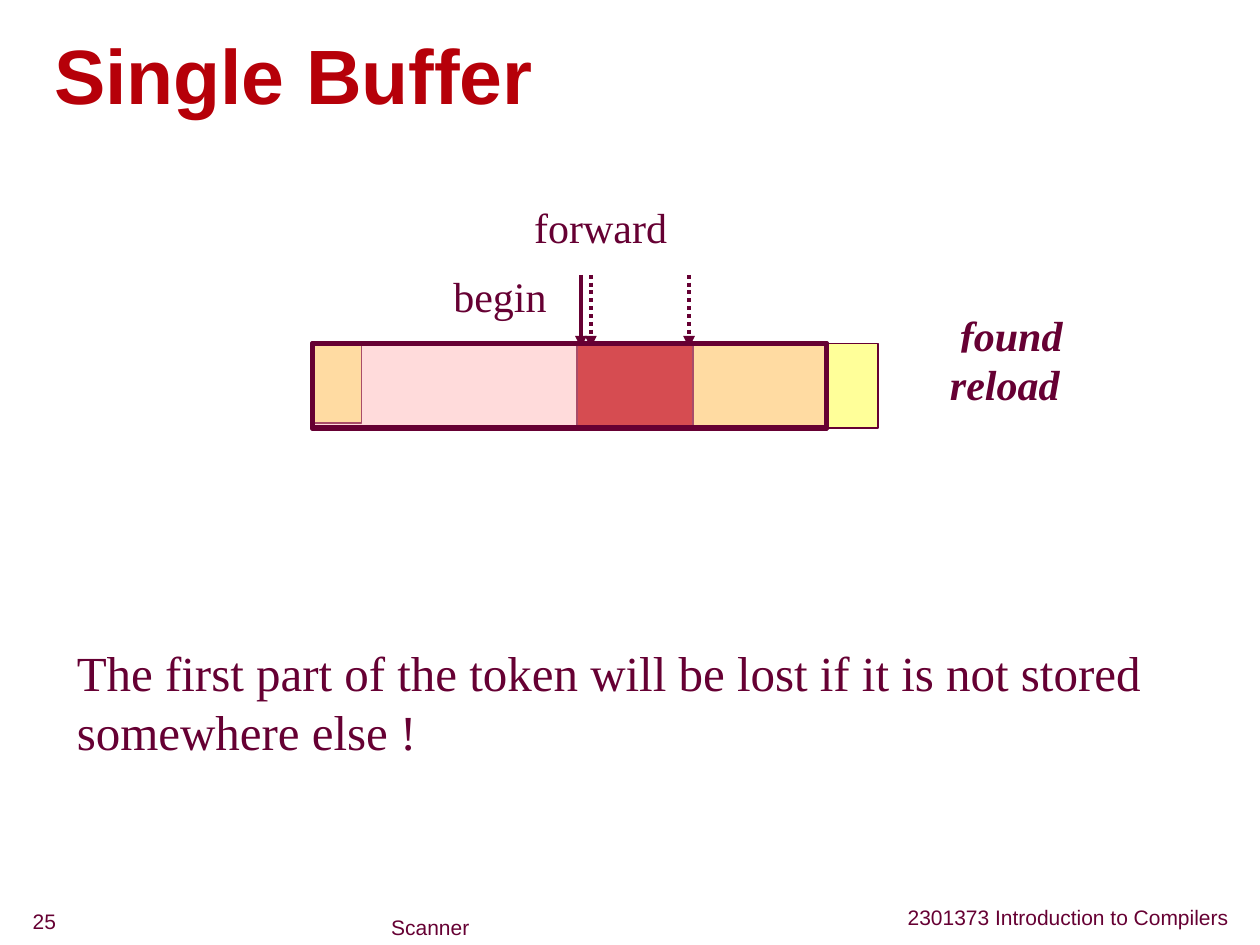
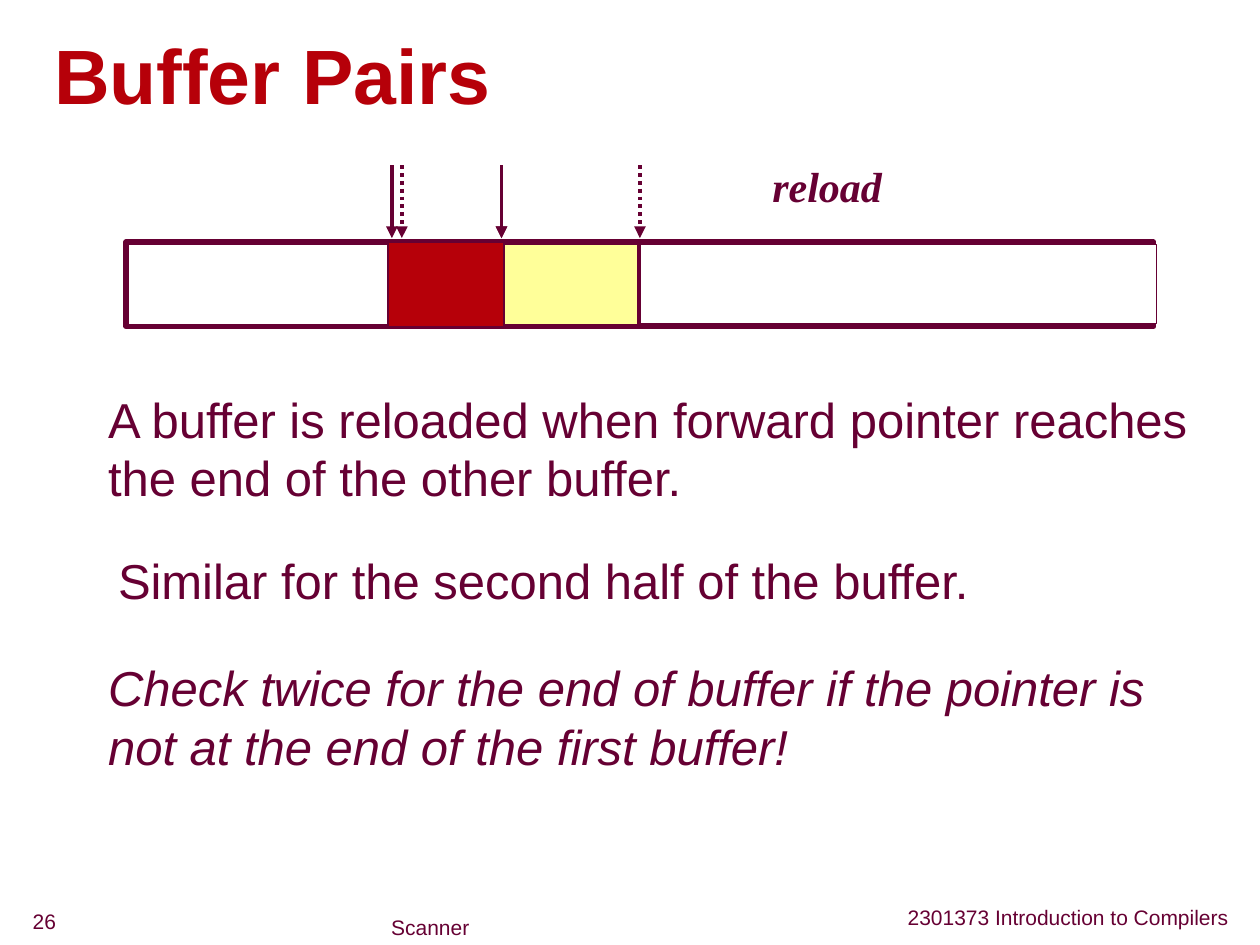
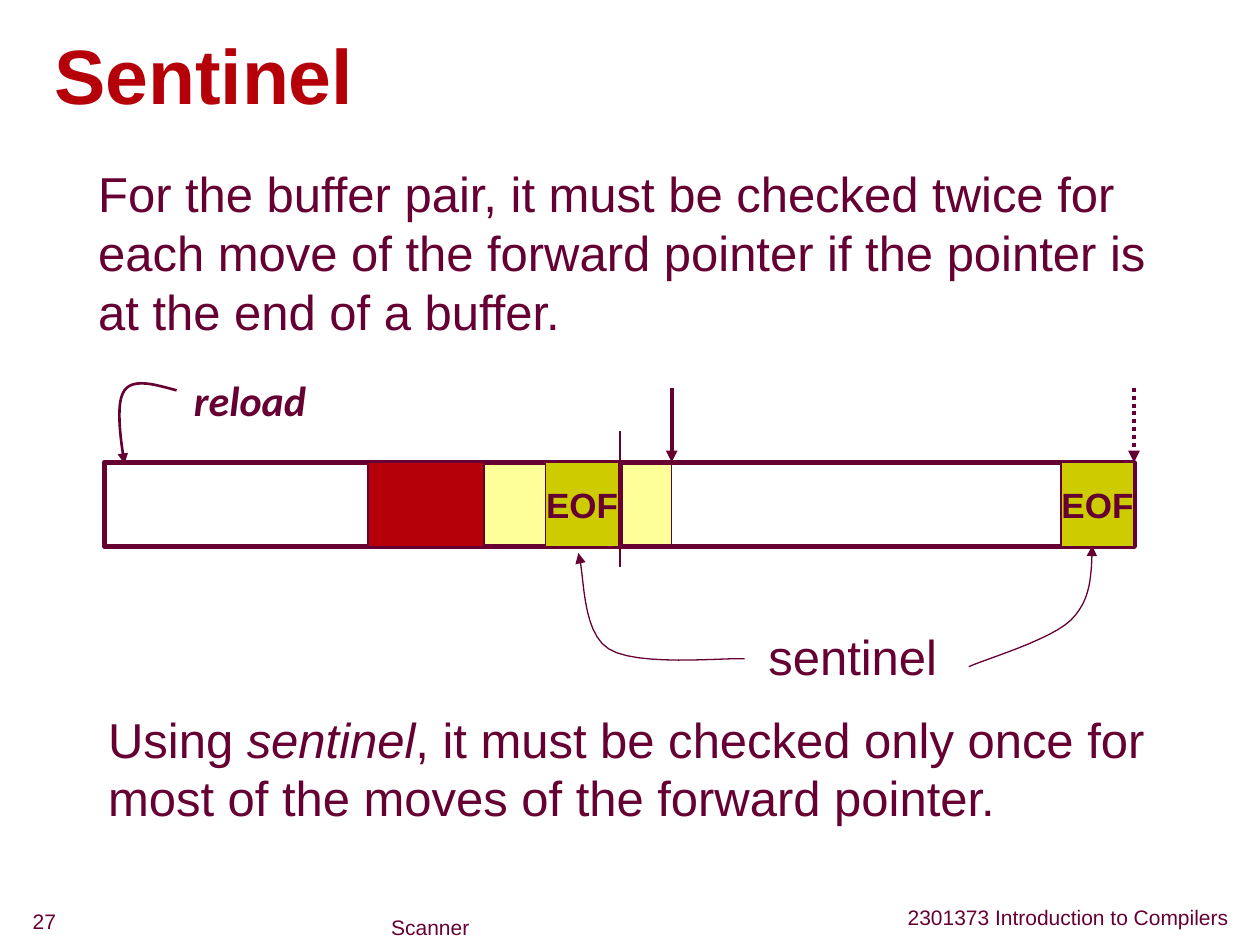
"""Build three slides on input buffering in a scanner."""
import lxml.etree
import pptx
import pptx.dml.color
import pptx.enum.dml
import pptx.enum.shapes
import pptx.enum.text
import pptx.oxml.ns
import pptx.util

Cm = pptx.util.Cm
Pt = pptx.util.Pt
RGB = pptx.dml.color.RGBColor.from_string
ALIGN = pptx.enum.text.PP_ALIGN
ANCHOR = pptx.enum.text.MSO_ANCHOR
qn = pptx.oxml.ns.qn


class Theme:
    ink = "660033"
    red = "B60009"
    yellow = "FFFF99"
    olive = "CCCC00"
    pink = "FFAFAF"
    white = "FFFFFF"
    sans = "Arial"
    serif = "Times New Roman"
    hand = "Calibri"
    title = 44
    body = 28
    label = 24
    mark = 20
    footer = 12
    thin = 0.75
    curve = 1.5
    arrow = 2.25
    frame = 3
    pink_alpha = 44000


def write(sp, text, size, font=Theme.sans, style="", color=Theme.ink,
          align=ALIGN.LEFT, anchor=ANCHOR.TOP, wrap=False):
    tf = sp.text_frame
    tf.text = text
    tf.word_wrap = wrap
    tf.vertical_anchor = anchor
    for p in tf.paragraphs:
        p.alignment = align
        for r in p.runs:
            r.font.size = Pt(size)
            r.font.name = font
            r.font.bold = "b" in style
            r.font.italic = "i" in style
            r.font.color.rgb = RGB(color)
    return tf


def draw_outline(sp, width, head=False, dotted=False):
    sp.line.color.rgb = RGB(Theme.ink)
    sp.line.width = Pt(width)
    if dotted:
        sp.line.dash_style = pptx.enum.dml.MSO_LINE.ROUND_DOT
    spPr = sp.element.spPr
    if head:
        lxml.etree.SubElement(spPr.find(qn("a:ln")), qn("a:tailEnd"), type="triangle")
    lxml.etree.SubElement(spPr, qn("a:effectLst"))


BAR_W, BAR_H, TOKEN_W, AHEAD_W, EOF_W = 10.36, 1.7, 2.34, 3.81, 1.47
T = Theme

pages = [
    {
        "title": "Single Buffer",
        "arrow_y": (5.54, 7.01),
        "arrows": [(13.89, True), (11.71, False), (11.91, True)],
        "blocks": [
            (13.89, 6.93, AHEAD_W, BAR_H, T.yellow, T.thin, ""),
            (6.3, 6.93, BAR_W, BAR_H, None, T.frame, ""),
            (11.63, 6.96, TOKEN_W, BAR_H, T.red, T.thin, ""),
            (6.3, 6.93, 0.99, 1.6, T.yellow, T.thin, ""),
            (6.3, 6.93, BAR_W, BAR_H, T.pink, T.frame, ""),
        ],
        "curves": [],
        "labels": [
            (19.1, 6.12, 2.57, 1.27, "found", T.serif, "bi", T.white),
            (18.9, 7.11, 2.72, 1.27, "reload", T.serif, "bi", T.white),
            (8.89, 5.33, 2.39, 1.27, "begin", T.serif, "", None),
            (10.52, 3.94, 3.18, 1.27, "forward", T.serif, "", None),
        ],
        "notes": [
            (1.3, 12.83, 22.4, 2.64, "The first part of the token will be lost "
             "if it is not stored somewhere else !", T.serif, "", True),
        ],
    },
    {
        "title": "Buffer Pairs",
        "arrow_y": (3.33, 4.8),
        "arrows": [(7.9, False), (8.1, True), (10.11, False), (10.11, True), (12.9, True)],
        "blocks": [
            (10.16, 4.88, AHEAD_W, BAR_H, T.yellow, T.thin, ""),
            (2.54, 4.88, BAR_W, BAR_H, None, T.frame, ""),
            (7.82, 4.88, TOKEN_W, BAR_H, T.red, T.thin, ""),
            (12.9, 4.88, BAR_W, BAR_H, None, T.frame, ""),
            (12.9, 4.93, 10.41, 1.6, T.white, T.thin, ""),
        ],
        "curves": [],
        "labels": [(15.32, 3.12, 2.72, 1.27, "reload", T.serif, "bi", None)],
        "notes": [
            (1.93, 7.72, 22.61, 2.64, "A buffer is reloaded when forward pointer reaches\n"
             "the end of the other buffer.", T.sans, "", False),
            (2.13, 10.97, 17.73, 1.45, "Similar for the second half of the buffer.",
             T.sans, "", False),
            (1.93, 13.13, 21.67, 2.64, "Check twice for the end of buffer if the pointer is\n"
             "not at the end of the first buffer!", T.sans, "i", False),
        ],
    },
    {
        "title": "Sentinel",
        "arrow_y": (7.82, 9.32),
        "arrows": [(13.54, False), (22.86, True)],
        "blocks": [
            (9.73, 9.32, AHEAD_W, BAR_H, T.yellow, T.thin, ""),
            (2.11, 9.32, BAR_W, BAR_H, None, T.frame, ""),
            (7.42, 9.32, TOKEN_W, BAR_H, T.red, T.thin, ""),
            (12.5, 9.32, BAR_W, BAR_H, None, T.frame, ""),
            (11, 9.32, EOF_W, BAR_H, T.olive, T.thin, "EOF"),
            (21.39, 9.32, EOF_W, BAR_H, T.olive, T.thin, "EOF"),
        ],
        "curves": [
            (T.curve, [(3.56, 7.87), (3.12, 7.75), (2.69, 7.62), (2.51, 7.87),
                       (2.34, 8.1), (2.41, 8.74), (2.51, 9.35)]),
            (T.thin, [(19.53, 13.44), (19.89, 13.28), (21.18, 12.9), (21.59, 12.5),
                      (22, 12.09), (22, 11.61), (22.02, 11)]),
            (T.thin, [(15.01, 13.28), (14.55, 13.26), (12.83, 13.44), (12.27, 13.08),
                      (11.71, 12.73), (11.79, 11.53), (11.66, 11.15)]),
        ],
        "labels": [(3.66, 7.42, 3.38, 1.27, "reload", T.hand, "bi", None)],
        "notes": [
            (1.73, 3.18, 21.89, 3.81, "For the buffer pair, it must be checked twice for\n"
             "each move of the forward pointer if the pointer is\n"
             "at the end of a buffer.", T.sans, "", False),
            (15.24, 12.5, 3.91, 1.45, "sentinel", T.sans, "", False),
            (1.93, 14.17, 21.67, 2.64, "Using sentinel, it must be checked only once for\n"
             "most of the moves of the forward pointer.", T.sans, "", False),
        ],
    },
]

prs = pptx.Presentation()
prs.slide_width, prs.slide_height = Cm(25.4), Cm(19.05)

for number, page in enumerate(pages, 25):
    s = prs.slides.add_slide(prs.slide_layouts[6])
    sp = s.shapes.add_textbox(Cm(0.84), Cm(0.41), Cm(24), Cm(2.13))
    write(sp, page["title"], T.title, style="b", color=T.red, anchor=ANCHOR.BOTTOM, wrap=True)

    top, bottom = page["arrow_y"]
    for x, dotted in page["arrows"]:
        sp = s.shapes.add_connector(pptx.enum.shapes.MSO_CONNECTOR.STRAIGHT,
                                    Cm(x), Cm(top), Cm(x), Cm(bottom))
        draw_outline(sp, T.arrow, head=True, dotted=dotted)

    for x, y, w, h, fill, width, text in page["blocks"]:
        sp = s.shapes.add_shape(pptx.enum.shapes.MSO_SHAPE.RECTANGLE, Cm(x), Cm(y), Cm(w), Cm(h))
        if fill:
            sp.fill.solid()
            sp.fill.fore_color.rgb = RGB(fill)
        else:
            sp.fill.background()
        if fill == T.pink:
            clr = sp.element.spPr.find(qn("a:solidFill")).find(qn("a:srgbClr"))
            lxml.etree.SubElement(clr, qn("a:alpha"), val=str(T.pink_alpha))
        draw_outline(sp, width)
        if text:
            write(sp, text, T.mark, style="b", align=ALIGN.CENTER, anchor=ANCHOR.MIDDLE)

    for width, points in page["curves"]:
        steps = []
        for i in range(0, len(points) - 1, 3):
            a, b, c, d = points[i:i + 4]
            for t in (n / 12 for n in range(1, 13)):
                steps.append(tuple(
                    Cm((1 - t) ** 3 * a[k] + 3 * t * (1 - t) ** 2 * b[k]
                       + 3 * t ** 2 * (1 - t) * c[k] + t ** 3 * d[k]) for k in (0, 1)))
        outline = s.shapes.build_freeform(Cm(points[0][0]), Cm(points[0][1]))
        outline.add_line_segments(steps, close=False)
        sp = outline.convert_to_shape()
        sp.fill.background()
        draw_outline(sp, width, head=True)

    for x, y, w, h, text, font, style, fill in page["labels"]:
        sp = s.shapes.add_textbox(Cm(x), Cm(y), Cm(w), Cm(h))
        if fill:
            sp.fill.solid()
            sp.fill.fore_color.rgb = RGB(fill)
        write(sp, text, T.label, font, style)

    for x, y, w, h, text, font, style, wrap in page["notes"]:
        sp = s.shapes.add_textbox(Cm(x), Cm(y), Cm(w), Cm(h))
        tf = write(sp, text, T.body, font, style, wrap=wrap)

    for x, y, w, h, text, align in [
        (12.5, 17.98, 12.52, 0.89, "2301373 Introduction to Compilers", ALIGN.RIGHT),
        (0.41, 18.42, 4.24, 0.53, str(number), ALIGN.LEFT),
        (5.08, 18.42, 7.19, 0.64, "Scanner", ALIGN.CENTER),
    ]:
        sp = s.shapes.add_textbox(Cm(x), Cm(y), Cm(w), Cm(h))
        write(sp, text, T.footer, align=align, anchor=ANCHOR.BOTTOM, wrap=True)

divider = s.shapes.add_connector(pptx.enum.shapes.MSO_CONNECTOR.STRAIGHT,
                                 Cm(12.5), Cm(8.69), Cm(12.5), Cm(11.43))
draw_outline(divider, T.thin)

p = tf.paragraphs[0]
p.text = ""
for text, italic in [("Using", False), (" sentinel", True),
                     (", it must be checked only once for", False)]:
    r = p.add_run()
    r.text = text
    r.font.size = Pt(T.body)
    r.font.name = T.sans
    r.font.italic = italic
    r.font.color.rgb = RGB(T.ink)

prs.save("out.pptx")
